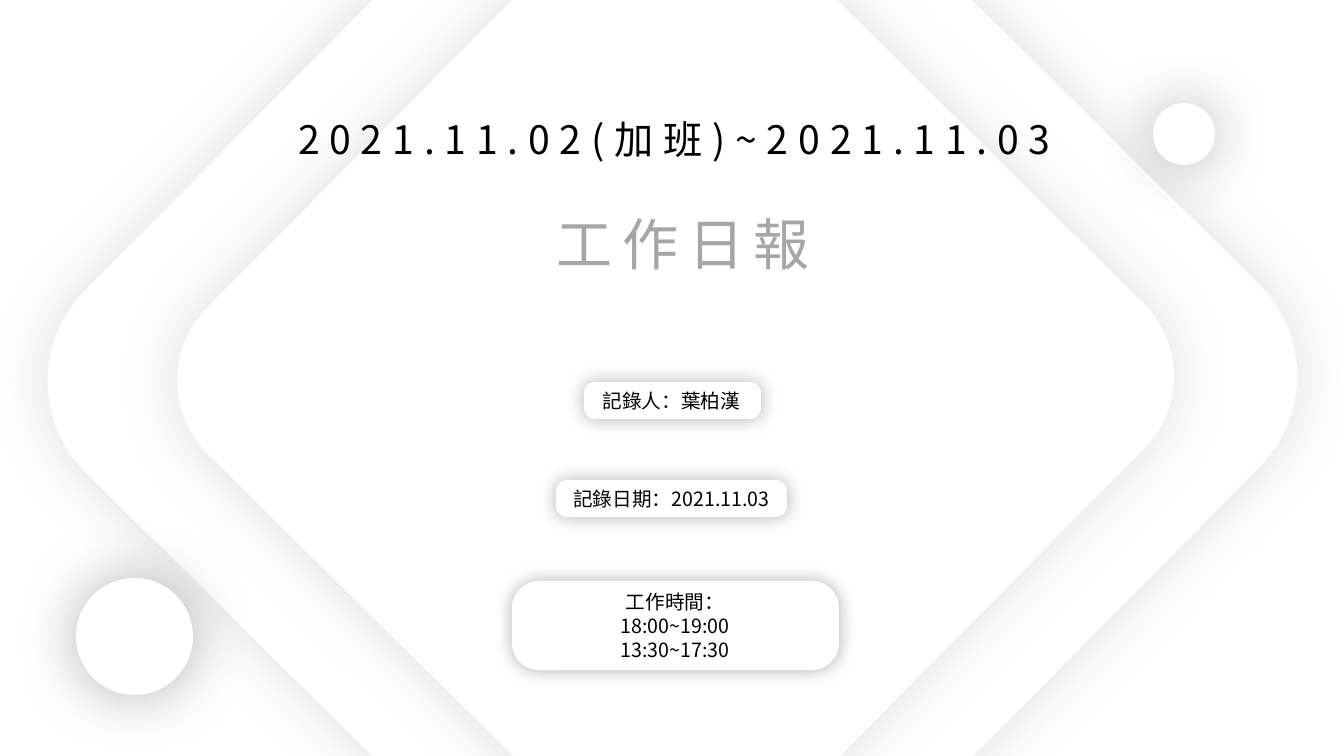
from dataclasses import dataclass

from lxml import etree
from pptx import Presentation
from pptx.dml.color import RGBColor as RGB
from pptx.enum.shapes import MSO_SHAPE as SHAPE
from pptx.enum.text import MSO_AUTO_SIZE as AUTO_SIZE, PP_ALIGN as ALIGN
from pptx.oxml.ns import qn
from pptx.util import Emu, Pt

SLIDE_WIDTH, SLIDE_HEIGHT = 1344, 756
EMU_PER_PX = 12192000 / SLIDE_WIDTH


@dataclass(frozen=True)
class Theme:
    font: str = "Noto Sans CJK SC"
    surface: str = "FFFFFF"
    ink: str = "000000"
    muted: str = "A6A6A6"
    diamond_shadow: tuple = ("595959", 19, 43)
    circle_shadow: tuple = ("000000", 30, 43)
    badge_shadow: tuple = ("000000", 30, 13)
    period_size: int = 28
    title_size: int = 40
    badge_size: int = 14
    tracking: int = 7
    line_height: float = 1.22


THEME = Theme()


def px(*lengths):
    return [Emu(round(length * EMU_PER_PX)) for length in lengths]


def add_glow(panel, shadow):
    color, opacity, blur = shadow
    effects = etree.SubElement(panel._element.spPr, qn("a:effectLst"))
    outer = etree.SubElement(
        effects, qn("a:outerShdw"), blurRad=str(Pt(blur)), dist="0", dir="0",
        algn="ctr", rotWithShape="0")
    tint = etree.SubElement(outer, qn("a:srgbClr"), val=color)
    etree.SubElement(tint, qn("a:alpha"), val=str(opacity * 1000))


def add_panel(shapes, kind, box, shadow, corner=None, rotation=0):
    panel = shapes.add_shape(kind, *px(*box))
    panel.fill.solid()
    panel.fill.fore_color.rgb = RGB.from_string(THEME.surface)
    panel.line.fill.background()
    panel.rotation = rotation
    if corner is not None:
        panel.adjustments[0] = corner
    add_glow(panel, shadow)


def add_label(shapes, wording, box, size, color, tracking=0):
    label = shapes.add_textbox(*px(*box))
    frame = label.text_frame
    frame.word_wrap = True
    frame.auto_size = AUTO_SIZE.SHAPE_TO_FIT_TEXT
    frame.text = wording
    for paragraph in frame.paragraphs:
        paragraph.alignment = ALIGN.CENTER
        paragraph.line_spacing = Pt(size * THEME.line_height)
        for run in paragraph.runs:
            run.font.size = Pt(size)
            run.font.name = THEME.font
            run.font.color.rgb = RGB.from_string(color)
            properties = run.font._element
            etree.SubElement(properties, qn("a:ea"), typeface=THEME.font)
            if tracking:
                properties.set("spc", str(tracking * 100))


def add_diamond(shapes, left, top, side):
    add_panel(shapes, SHAPE.ROUNDED_RECTANGLE, (left, top, side, side),
              THEME.diamond_shadow, corner=0.134, rotation=44.7)


def add_circle(shapes, left, top, diameter):
    add_panel(shapes, SHAPE.OVAL, (left, top, diameter, diameter),
              THEME.circle_shadow)


def add_badge(shapes, wording, panel_box, label_box):
    badge = shapes.add_group_shape().shapes
    add_panel(badge, SHAPE.ROUNDED_RECTANGLE, panel_box, THEME.badge_shadow,
              corner=0.302)
    add_label(badge, wording, label_box, THEME.badge_size, THEME.ink)


def main():
    deck = Presentation()
    deck.slide_width, deck.slide_height = px(SLIDE_WIDTH, SLIDE_HEIGHT)
    cover = deck.slides.add_slide(deck.slide_layouts[6])
    shapes = cover.shapes

    add_diamond(shapes, 193, -101, 959)
    add_diamond(shapes, 293, -4, 765)

    add_label(shapes, "2021.11.02(加班)~2021.11.03", (268, 110, 813, 57),
              THEME.period_size, THEME.ink, THEME.tracking)
    add_label(shapes, "工作日報", (444, 203, 479, 78),
              THEME.title_size, THEME.muted, THEME.tracking)

    add_circle(shapes, 76, 578, 117)
    add_circle(shapes, 1153, 103, 62)

    add_badge(shapes, "記錄人：葉柏漢",
              (584, 382, 177, 37), (566, 384, 211, 34))
    add_badge(shapes, "記錄日期：2021.11.03",
              (556, 480, 231, 37), (550, 482, 243, 34))
    add_badge(shapes, "工作時間：\n18:00~19:00\n13:30~17:30",
              (512, 581, 327, 89), (503, 585, 344, 82))

    deck.save("out.pptx")


if __name__ == "__main__":
    main()
